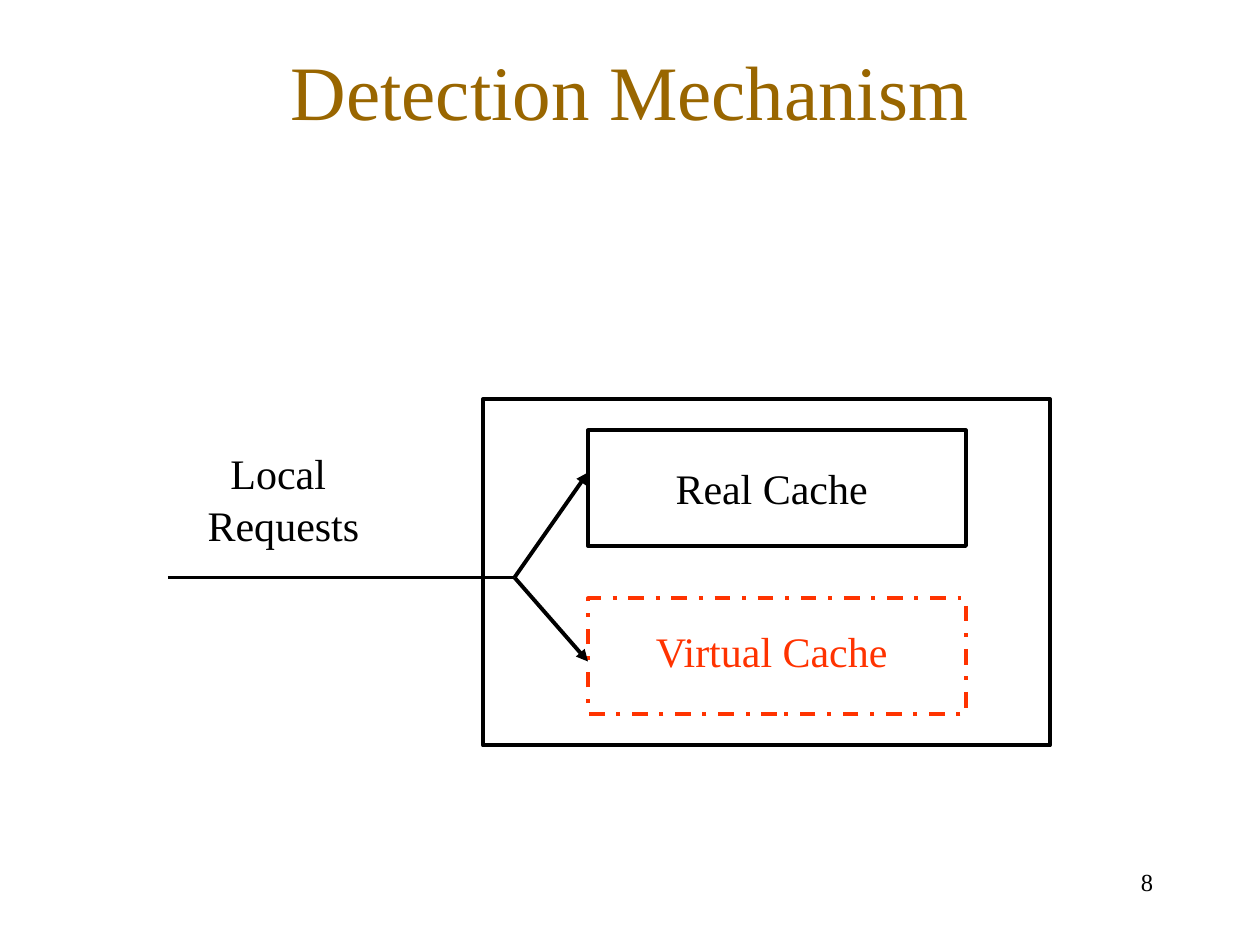
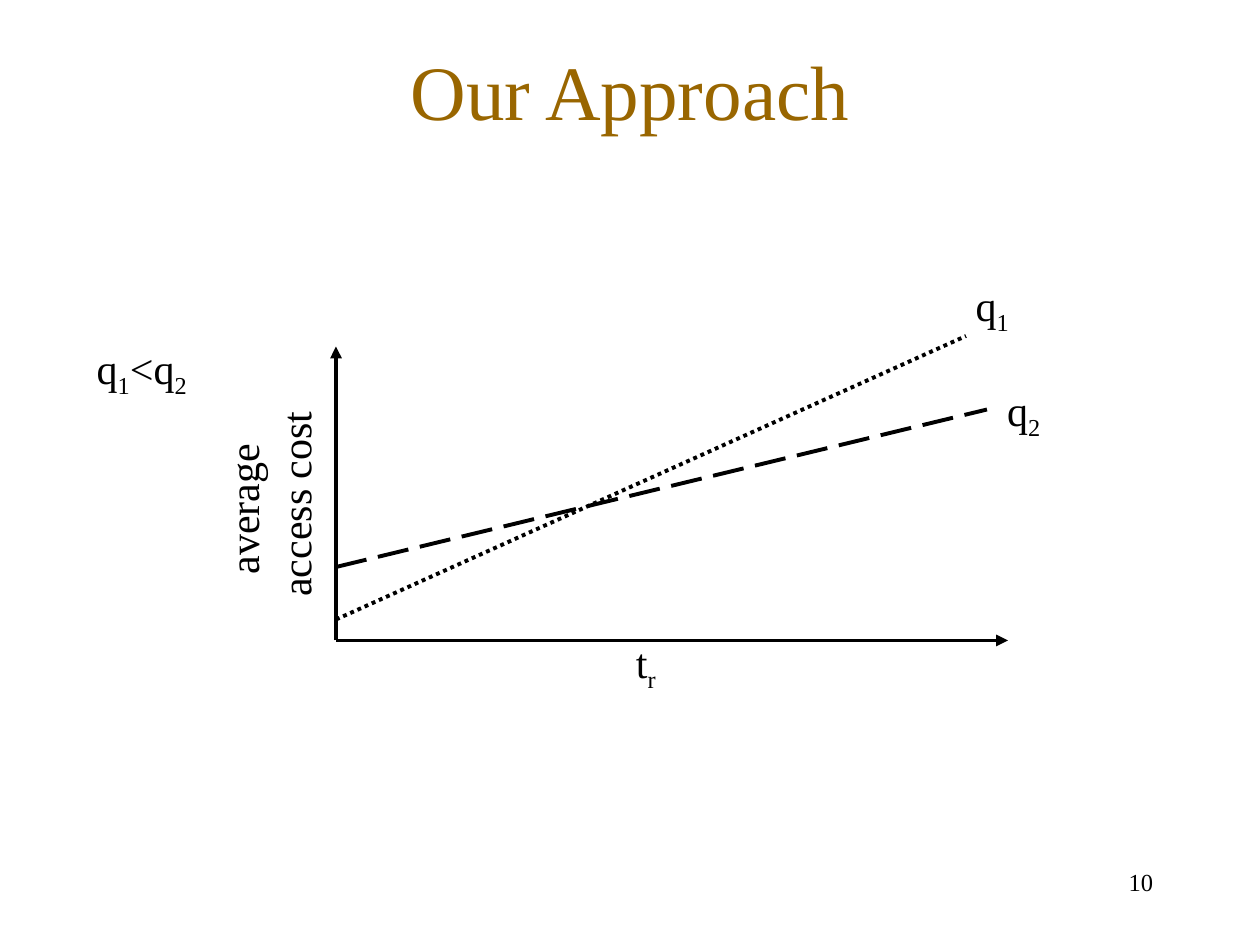
from lxml import etree
from pptx import Presentation
from pptx.dml.color import RGBColor
from pptx.enum.dml import MSO_LINE
from pptx.enum.shapes import MSO_CONNECTOR, MSO_SHAPE
from pptx.enum.text import MSO_ANCHOR, PP_ALIGN
from pptx.oxml.ns import qn
from pptx.util import Inches, Pt

STRAIGHT = MSO_CONNECTOR.STRAIGHT
RECTANGLE = MSO_SHAPE.RECTANGLE
TOP, MIDDLE = MSO_ANCHOR.TOP, MSO_ANCHOR.MIDDLE
CENTER, RIGHT = PP_ALIGN.CENTER, PP_ALIGN.RIGHT
DASH_DOT, LONG_DASH, DOTTED = MSO_LINE.DASH_DOT, MSO_LINE.LONG_DASH, MSO_LINE.ROUND_DOT

BLACK = RGBColor(0x00, 0x00, 0x00)
BROWN = RGBColor(0x99, 0x66, 0x00)
RED = RGBColor(0xFF, 0x33, 0x00)
FONT = "Times New Roman"
LINE_WIDTH = Pt(2.25)

presentation = Presentation()
presentation.slide_width = Inches(10)
presentation.slide_height = Inches(7.5)
COLUMN = presentation.slide_width / 120
ROW = presentation.slide_height / 90


def add_text(slide, box, paragraphs, size=24, color=BLACK, align=CENTER, anchor=TOP):
    left, top, width, height = box
    shape = slide.shapes.add_textbox(
        round(left * COLUMN), round(top * ROW), round(width * COLUMN), round(height * ROW))
    frame = shape.text_frame
    frame.word_wrap = True
    frame.vertical_anchor = anchor
    for number, pieces in enumerate(paragraphs):
        paragraph = frame.add_paragraph() if number else frame.paragraphs[0]
        paragraph.alignment = align
        if number:
            paragraph.space_before = Pt(1)
        for position, piece in enumerate(pieces):
            run = paragraph.add_run()
            run.text = piece
            run.font.name = FONT
            run.font.size = Pt(size)
            run.font.color.rgb = color
            if position % 2:
                run._r.get_or_add_rPr().set("baseline", "-25000")
    return shape


def add_line(slide, start, end, dash=None, arrow=False):
    connector = slide.shapes.add_connector(
        STRAIGHT, round(start[0] * COLUMN), round(start[1] * ROW),
        round(end[0] * COLUMN), round(end[1] * ROW))
    connector.line.color.rgb = BLACK
    connector.line.width = LINE_WIDTH
    if dash:
        connector.line.dash_style = dash
    if arrow:
        etree.SubElement(connector.line._get_or_add_ln(), qn("a:tailEnd"), type="triangle")
    etree.SubElement(connector._element.spPr, qn("a:effectLst"))


slides = []
for title, page in [("Detection Mechanism", "8"), ("Our Approach", "10")]:
    slide = presentation.slides.add_slide(presentation.slide_layouts[6])
    add_text(slide, (9, 1, 102, 15), [[title]], 44, BROWN, anchor=MIDDLE)
    add_text(slide, (86, 82, 25, 6), [[page]], 14, align=RIGHT)
    slides.append(slide)
detection, approach = slides

for left, top, width, height, color, dash in [
    (46, 38, 54, 33, BLACK, None),
    (56, 41, 36, 11, BLACK, None),
    (56, 57, 36, 11, RED, DASH_DOT),
]:
    cache = detection.shapes.add_shape(
        RECTANGLE, round(left * COLUMN), round(top * ROW),
        round(width * COLUMN), round(height * ROW))
    cache.shadow.inherit = False
    cache.fill.background()
    cache.line.color.rgb = color
    cache.line.width = LINE_WIDTH
    if dash:
        cache.line.dash_style = dash

fork = (49, 55)
add_line(detection, (16, 55), fork)
for target in [(56, 45), (56, 63)]:
    add_line(detection, fork, target, arrow=True)

for top, label, color in [(43.5, "Real Cache", BLACK), (59, "Virtual Cache", RED)]:
    add_text(detection, (57, top, 33, 6), [[label]], color=color)
add_text(detection, (15, 42, 24, 10.8), [["Local "], ["Requests"]])

origin = (32, 61)
for axis_end in [(32, 33), (96, 61)]:
    add_line(approach, origin, axis_end, arrow=True)
add_line(approach, (32, 59), (92, 32), DOTTED)
add_line(approach, (32, 54), (94, 39), LONG_DASH)

for left, top, pieces in [
    (6, 32, ["q", "1", "<q", "2"]),
    (87, 26, ["q", "1"]),
    (90, 36, ["q", "2"]),
    (54, 60, ["t", "r"]),
]:
    add_text(approach, (left, top, 15, 6.7), [pieces])
axis_title = add_text(approach, (10.5, 42.6, 30, 10.8), [["average "], ["access cost"]])
axis_title.rotation = 270

presentation.save("out.pptx")
